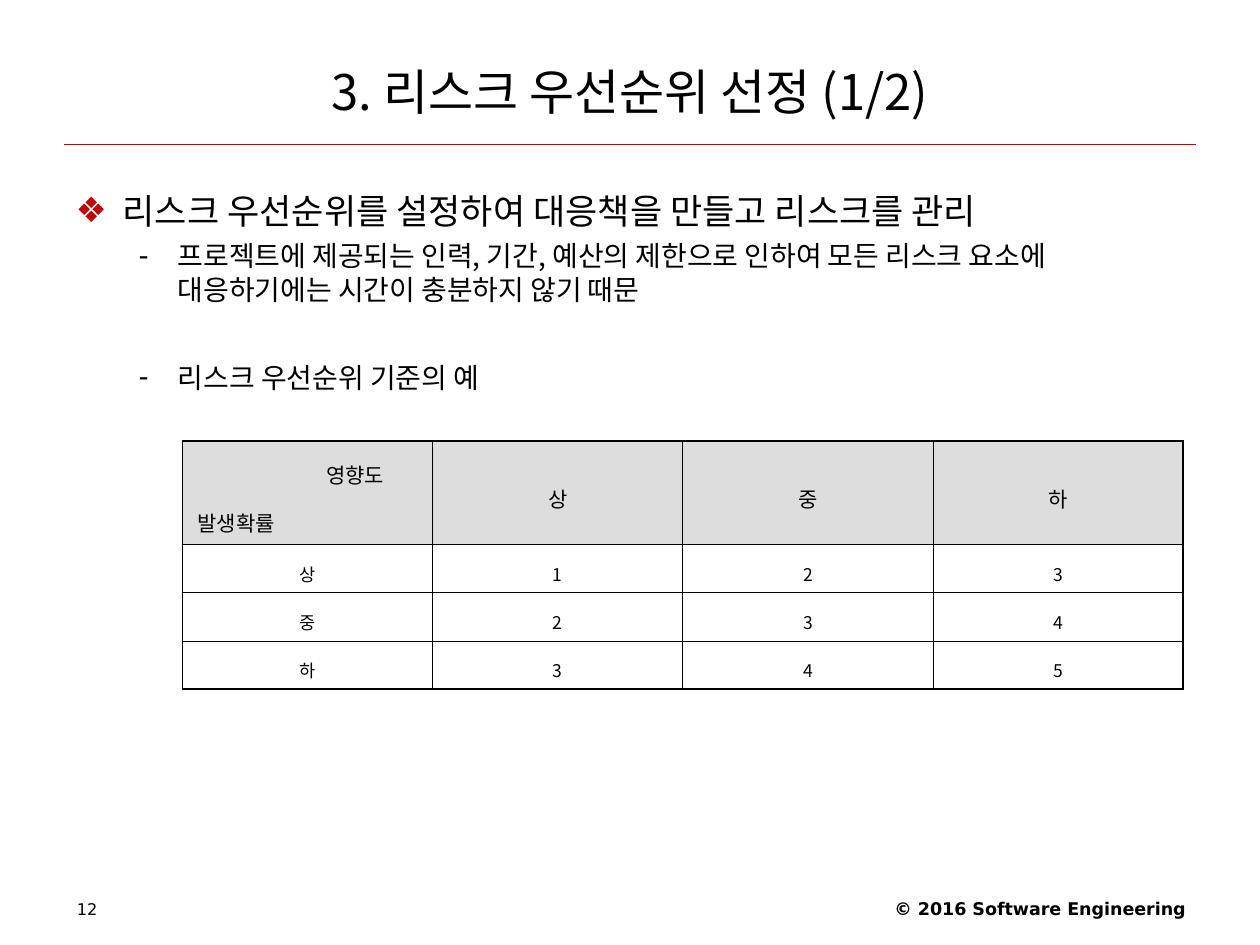
from pptx import Presentation
from pptx.dml.color import RGBColor as RGB
from pptx.enum.shapes import MSO_CONNECTOR as Conn
from pptx.enum.text import MSO_ANCHOR as Anchor, MSO_AUTO_SIZE as Auto, PP_ALIGN as Align
from pptx.oxml.ns import qn
from pptx.util import Cm, Pt
from lxml.etree import SubElement as Sub

BLACK = RGB(0x00, 0x00, 0x00)
RED = RGB(0xC4, 0x00, 0x00)
GREY = RGB(0xDD, 0xDD, 0xDD)
HANGUL = "Noto Sans CJK KR"
LATIN = "DejaVu Sans"
THIN, THICK = 0.45, 1.08

POINTS = [  # level, text, size, line spacing, space before
    (0, "리스크 우선순위를 설정하여 대응책을 만들고 리스크를 관리", 20, 1.2, 0),
    (1, "프로젝트에 제공되는 인력, 기간, 예산의 제한으로 인하여 모든 리스크 요소에 "
        "대응하기에는 시간이 충분하지 않기 때문", 16, 1.0, 4),
    (1, "리스크 우선순위 기준의 예", 16, 1.0, 31),
]
MARKS = [  # bullet, colour, left margin, hanging indent
    ("❖", RED, Cm(0.95), Cm(0.95)),
    ("-", BLACK, Cm(2.06), Cm(0.79)),
]
LEVELS = ["상", "중", "하"]


class Deck:
    """Holds the text style and the slide being filled."""

    def __init__(self):
        self.prs = Presentation()
        self.prs.slide_width, self.prs.slide_height = Cm(25.4), Cm(19.05)
        self.slide = self.prs.slides.add_slide(self.prs.slide_layouts[1])

    def style(self, para, size, face=HANGUL, bold=False):
        font = para.font
        font.size, font.bold, font.name = Pt(size), bold, face
        font.color.rgb = BLACK
        rpr = para._p.pPr.find(qn("a:defRPr"))
        Sub(rpr, qn("a:ea"), typeface=face)

    def place(self, shape, box):
        shape.left, shape.top, shape.width, shape.height = map(Cm, box)
        frame = shape.text_frame
        frame.auto_size, frame.word_wrap = Auto.NONE, True
        return frame

    def title(self, text, box):
        frame = self.place(self.slide.shapes.title, box)
        frame.vertical_anchor = Anchor.MIDDLE
        frame.text = text
        para = frame.paragraphs[0]
        para.alignment = Align.CENTER
        self.style(para, 28)

    def mark(self, para, level):
        """Give a paragraph the bullet and indent of its level."""
        char, color, left, hang = MARKS[level]
        ppr = para._p.get_or_add_pPr()
        ppr.set("marL", str(left))
        ppr.set("indent", str(-hang))
        Sub(Sub(ppr, qn("a:buClr")), qn("a:srgbClr"), val=str(color))
        Sub(ppr, qn("a:buFont"), typeface=LATIN)
        Sub(ppr, qn("a:buChar"), char=char)

    def body(self, points, box):
        frame = self.place(self.slide.placeholders[1], box)
        frame.text = "\n".join(point[1] for point in points)
        for para, (level, _, size, space, before) in zip(frame.paragraphs, points):
            para.level = level
            self.mark(para, level)
            para.line_spacing, para.space_before = space, Pt(before)
            self.style(para, size)

    def rule(self, left, right, top):
        line = self.slide.shapes.add_connector(
            Conn.STRAIGHT, Cm(left), Cm(top), Cm(right), Cm(top))
        line.line.color.rgb, line.line.width = RED, Pt(0.75)
        Sub(line._element.spPr, qn("a:effectLst"))

    def note(self, text, box, size, align, bold=False):
        shape = self.slide.shapes.add_textbox(*map(Cm, box))
        frame = self.place(shape, box)
        frame.text = text
        para = frame.paragraphs[0]
        para.alignment = align
        self.style(para, size, LATIN, bold)

    def border(self, cell, outer):
        """Draw the four sides; outer tells which lie on the table's edge."""
        tcpr = cell._tc.get_or_add_tcPr()
        for side, edge in zip("LRTB", outer):
            width = Pt(THICK if edge else THIN)
            line = Sub(tcpr, qn("a:ln" + side), w=str(width))
            Sub(Sub(line, qn("a:solidFill")), qn("a:srgbClr"), val=str(BLACK))

    def cell(self, cell, text, head):
        cell.margin_left = cell.margin_right = Cm(0.3)
        cell.margin_top = cell.margin_bottom = Cm(0.13)
        cell.vertical_anchor = Anchor.MIDDLE if head else Anchor.TOP
        if head:
            cell.fill.solid()
            cell.fill.fore_color.rgb = GREY
        else:
            cell.fill.background()
        cell.text = text
        for para in cell.text_frame.paragraphs:
            para.alignment, para.line_spacing = Align.CENTER, 1.4
            self.style(para, 12 if head else 10)

    def corner(self, cell):
        """Set the row and column captions apart in the top left cell."""
        cell.vertical_anchor = Anchor.TOP
        upper, lower = cell.text_frame.paragraphs
        upper.alignment = lower.alignment = Align.LEFT
        upper._p.pPr.set("marL", str(Cm(2.6)))
        lower.space_before = Pt(3)

    def table(self, rows, box, heights):
        tall, wide = len(rows), len(rows[0])
        table = self.slide.shapes.add_table(tall, wide, *map(Cm, box)).table
        table.first_row = table.horz_banding = False
        for row, height in zip(table.rows, heights):
            row.height = Cm(height)
        for r, row in enumerate(rows):
            for c, text in enumerate(row):
                cell = table.cell(r, c)
                self.border(cell, (c == 0, c == wide - 1, r == 0, r == tall - 1))
                self.cell(cell, text, r == 0)
        self.corner(table.cell(0, 0))


def main():
    deck = Deck()
    deck.rule(1.3, 24.1, 2.92)
    deck.note("© 2016 Software Engineering", (16.1, 17.98, 8.05, 0.74),
              10, Align.RIGHT, True)
    deck.note("12", (1.3, 18, 5.92, 0.71), 9.2, Align.LEFT)
    deck.title("3. 리스크 우선순위 선정 (1/2)", (1.27, 0.76, 22.86, 2.16))
    deck.body(POINTS, (1.27, 3.53, 22.86, 14))

    ranks = [[name] + [str(r + c + 1) for c in range(len(LEVELS))]
             for r, name in enumerate(LEVELS)]
    rows = [["영향도\n발생확률"] + LEVELS] + ranks
    deck.table(rows, (3.68, 8.89, 20.17, 4.22), [1.52] + [0.91] * len(LEVELS))
    deck.prs.save("out.pptx")


if __name__ == "__main__":
    main()
